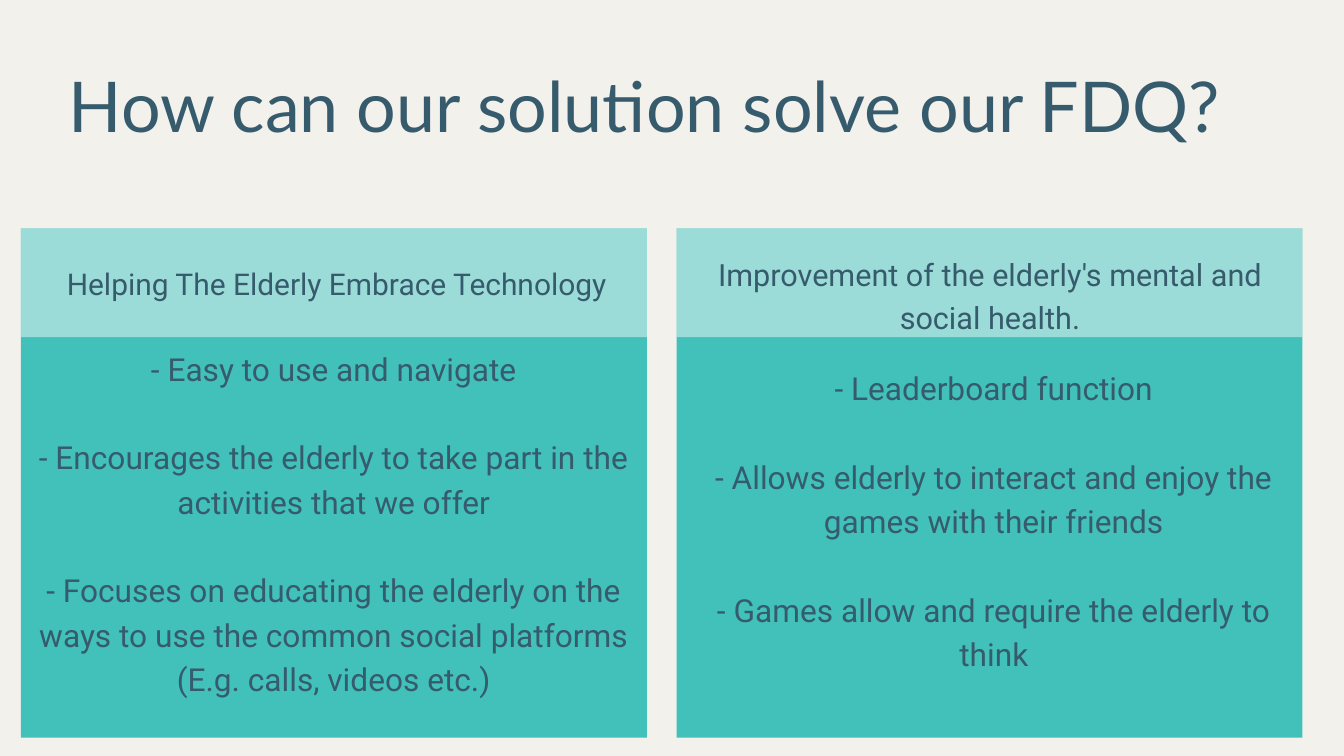
"""Build a slide comparing two ways the solution answers the FDQ."""
import lxml.etree
import pptx
import pptx.dml.color
import pptx.enum.shapes
import pptx.enum.text
import pptx.oxml.ns
import pptx.util

THEME = {
    "background": pptx.dml.color.RGBColor.from_string("F2F1EC"),
    "panel": pptx.dml.color.RGBColor.from_string("41C1BA"),
    "band": pptx.dml.color.RGBColor.from_string("F7F7F7"),
    "text": pptx.dml.color.RGBColor.from_string("365B6D"),
    "title_font": "Lato",
    "body_font": "Roboto",
    "title_size": 75,
    "left_heading_size": 32.1,
    "right_heading_size": 32.8,
    "body_size": 33.9,
    "leading": 1.4,
}

presentation = pptx.Presentation()
presentation.slide_width = pptx.util.Inches(20)
presentation.slide_height = pptx.util.Inches(11.25)
COLUMN = presentation.slide_width / 64
ROW = presentation.slide_height / 36


def grid_box(left, top, width, height):
    return int(left * COLUMN), int(top * ROW), int(width * COLUMN), int(height * ROW)


def fill_placeholder(shape, box, paragraphs, font_name, size):
    shape.left, shape.top, shape.width, shape.height = grid_box(*box)
    frame = shape.text_frame
    frame.word_wrap = True
    frame.auto_size = pptx.enum.text.MSO_AUTO_SIZE.NONE
    frame.vertical_anchor = pptx.enum.text.MSO_ANCHOR.TOP
    frame.margin_left = frame.margin_top = frame.margin_right = frame.margin_bottom = 0
    leading = pptx.util.Pt(size * THEME["leading"])
    for index, text in enumerate(paragraphs):
        paragraph = frame.paragraphs[0] if index == 0 else frame.add_paragraph()
        properties = paragraph._p.get_or_add_pPr()
        properties.set("marL", "0")
        properties.set("indent", "0")
        lxml.etree.SubElement(properties, pptx.oxml.ns.qn("a:buNone"))
        paragraph.alignment = pptx.enum.text.PP_ALIGN.CENTER
        paragraph.line_spacing = leading
        paragraph.space_before = leading if index else pptx.util.Pt(0)
        run = paragraph.add_run()
        run.text = text
        run.font.name = font_name
        run.font.size = pptx.util.Pt(size)
        run.font.bold = False
        run.font.color.rgb = THEME["text"]


slide = presentation.slides.add_slide(presentation.slide_layouts.get_by_name("Comparison"))
slide.background.fill.solid()
slide.background.fill.fore_color.rgb = THEME["background"]
title, *bodies = [shape for shape in slide.placeholders if shape.placeholder_format.idx < 5]

fill_placeholder(title, (0.96, 2.3, 59.46, 4.51), ["How can our solution solve our FDQ?"],
                 THEME["title_font"], THEME["title_size"])

panels = [
    {
        "left": 1,
        "heading": "Helping The Elderly Embrace Technology",
        "heading_box": (1.76, 12.35, 28.54, 5.95),
        "heading_size": THEME["left_heading_size"],
        "points": [
            "- Easy to use and navigate",
            "- Encourages the elderly to take part in the activities that we offer",
            "- Focuses on educating the elderly on the ways to use the common social "
            "platforms (E.g. calls, videos etc.)",
        ],
        "points_box": (1, 16.35, 29.8, 18.75),
    },
    {
        "left": 32.22,
        "heading": "Improvement of the elderly's mental and social health.",
        "heading_box": (33.22, 11.9, 27.84, 8.03),
        "heading_size": THEME["right_heading_size"],
        "points": [
            "- Leaderboard function",
            "- Allows elderly to interact and enjoy the games with their friends",
            "- Games allow and require the elderly to think",
        ],
        "points_box": (32.64, 17.28, 29.38, 16.67),
    },
]

for panel, heading, points in zip(panels, bodies[::2], bodies[1::2]):
    for color, height in (("panel", 24.24), ("band", 5.18)):
        rectangle = slide.shapes.add_shape(
            pptx.enum.shapes.MSO_SHAPE.RECTANGLE, *grid_box(panel["left"], 10.88, 29.8, height))
        rectangle.shadow.inherit = False
        rectangle.line.fill.background()
        rectangle.fill.solid()
        rectangle.fill.fore_color.rgb = THEME[color]
        if color == "band":
            color_element = rectangle.element.spPr.find(".//" + pptx.oxml.ns.qn("a:srgbClr"))
            lxml.etree.SubElement(color_element, pptx.oxml.ns.qn("a:alpha"), val="50000")
        title.element.addprevious(rectangle.element)
    fill_placeholder(heading, panel["heading_box"], [panel["heading"]],
                     THEME["body_font"], panel["heading_size"])
    fill_placeholder(points, panel["points_box"], panel["points"],
                     THEME["body_font"], THEME["body_size"])

presentation.save("out.pptx")
